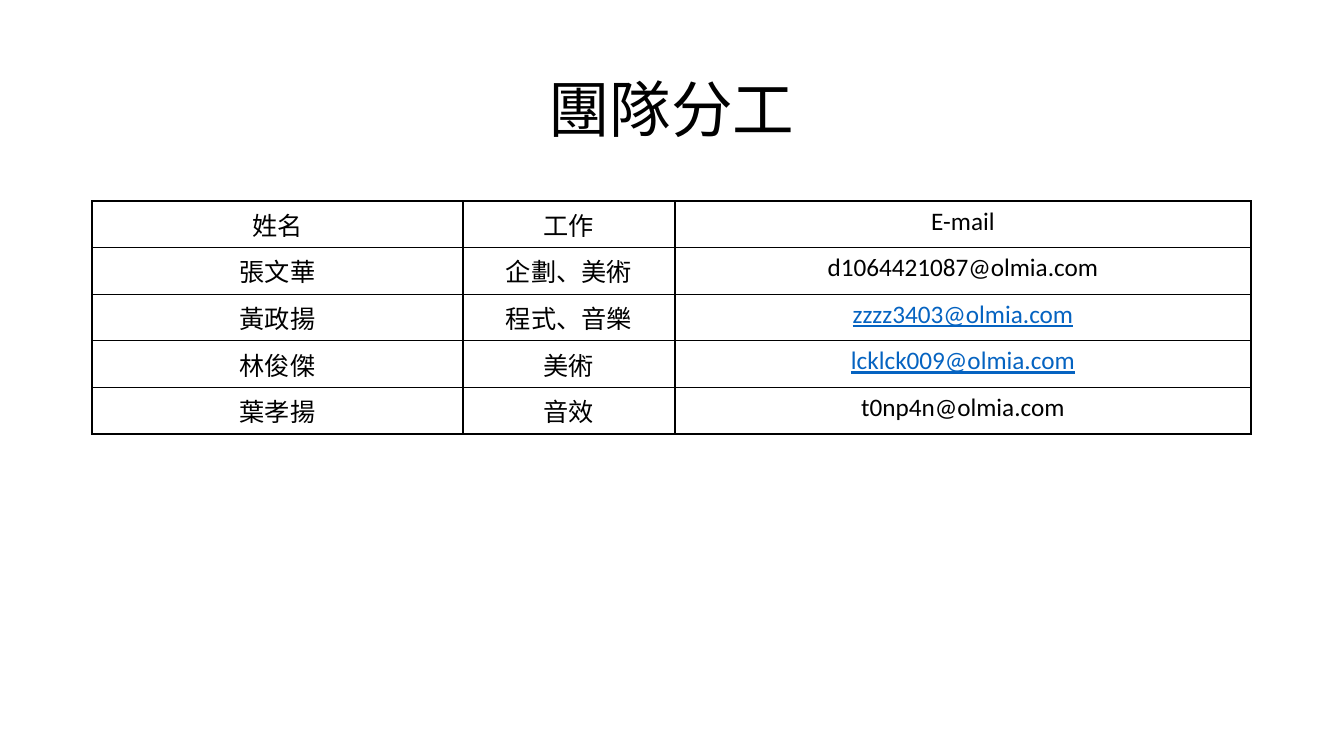
from lxml import etree
from pptx import Presentation
from pptx.dml.color import RGBColor
from pptx.enum.text import MSO_ANCHOR, PP_ALIGN
from pptx.oxml.ns import qn
from pptx.util import Pt

CENTER = PP_ALIGN.CENTER
MIDDLE = MSO_ANCHOR.MIDDLE
EMU_PER_PIXEL = 914400 / 100.8
BLACK, WHITE, LINK_BLUE = "000000", "FFFFFF", "0563C1"


def px(pixels):
    return round(pixels * EMU_PER_PIXEL)


def write(frame, text, size, color=BLACK, underline=False):
    paragraph = frame.paragraphs[0]
    paragraph.alignment = CENTER
    run = paragraph.add_run()
    run.text = text
    font_format = {"name": "Calibri", "size": Pt(size), "bold": False, "underline": underline}
    for attribute, value in font_format.items():
        setattr(run.font, attribute, value)
    run.font.color.rgb = RGBColor.from_string(color)


team = [
    ("姓名", "工作", "E-mail"),
    ("張文華", "企劃、美術", "d1064421087@olmia.com"),
    ("黃政揚", "程式、音樂", "zzzz3403@olmia.com"),
    ("林俊傑", "美術", "lcklck009@olmia.com"),
    ("葉孝揚", "音效", "t0np4n@olmia.com"),
]
linked_emails = {team[2][2], team[3][2]}
column_widths = [371, 212, 576]
row_height = 41

prs = Presentation()
prs.slide_width, prs.slide_height = px(1344), px(756)
slide = prs.slides.add_slide(prs.slide_layouts[5])

title = slide.shapes.title
title_place = {"left": 92, "top": 40, "width": 1159, "height": 146}
for attribute, value in title_place.items():
    setattr(title, attribute, px(value))
title.text_frame.vertical_anchor = MIDDLE
write(title.text_frame, "團隊分工", 44)
title.text_frame.paragraphs[0].line_spacing = 0.9

roster = slide.shapes.add_table(
    len(team), len(column_widths), px(92), px(201),
    px(sum(column_widths)), px(row_height * len(team)),
).table
roster.first_row = False
roster.horz_banding = False
for column, width in zip(roster.columns, column_widths):
    column.width = px(width)

for row_index, member in enumerate(team):
    roster.rows[row_index].height = px(row_height)
    for column_index, text in enumerate(member):
        cell = roster.cell(row_index, column_index)
        linked = text in linked_emails
        write(cell.text_frame, text, 18, LINK_BLUE if linked else BLACK, linked)
        properties = cell._tc.get_or_add_tcPr()
        for edge in ("a:lnL", "a:lnR", "a:lnT", "a:lnB"):
            border = etree.SubElement(properties, qn(edge), w=str(Pt(1)))
            border_fill = etree.SubElement(border, qn("a:solidFill"))
            etree.SubElement(border_fill, qn("a:srgbClr"), val=BLACK)
        cell.fill.solid()
        cell.fill.fore_color.rgb = RGBColor.from_string(WHITE)

prs.save("out.pptx")
